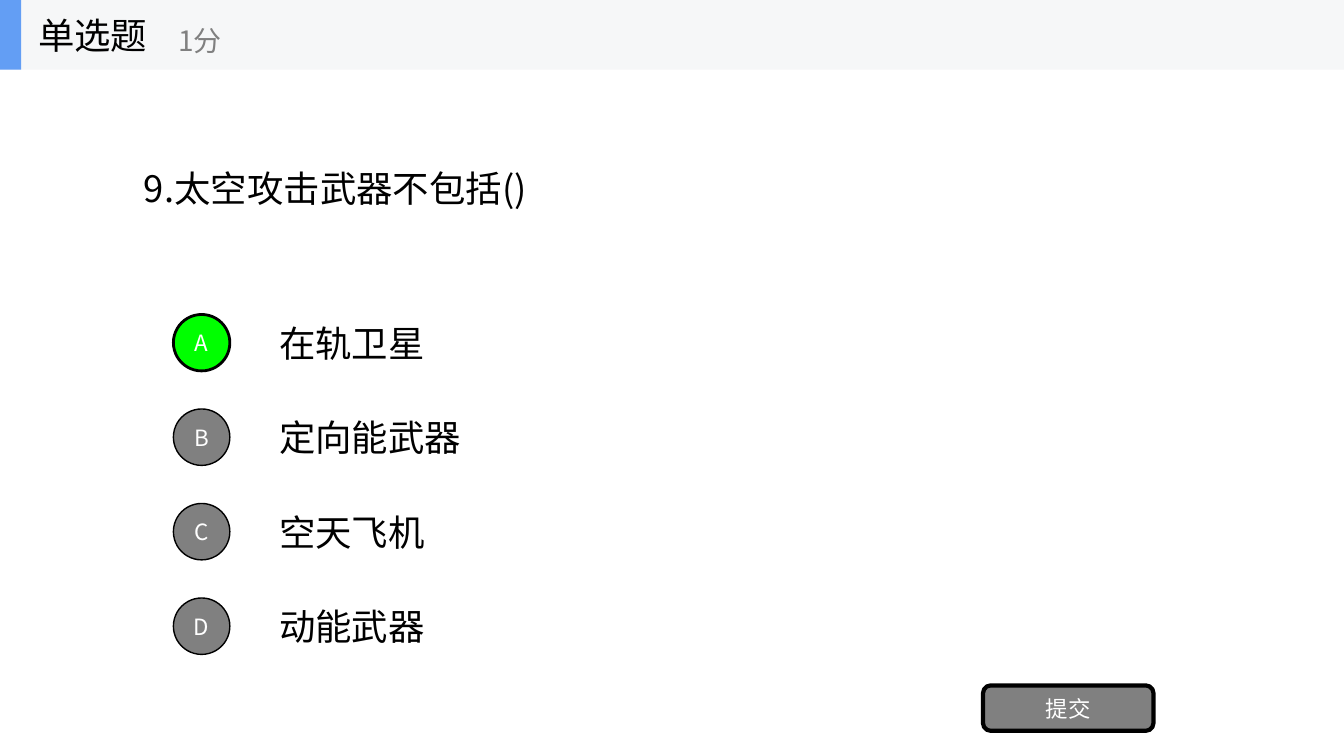
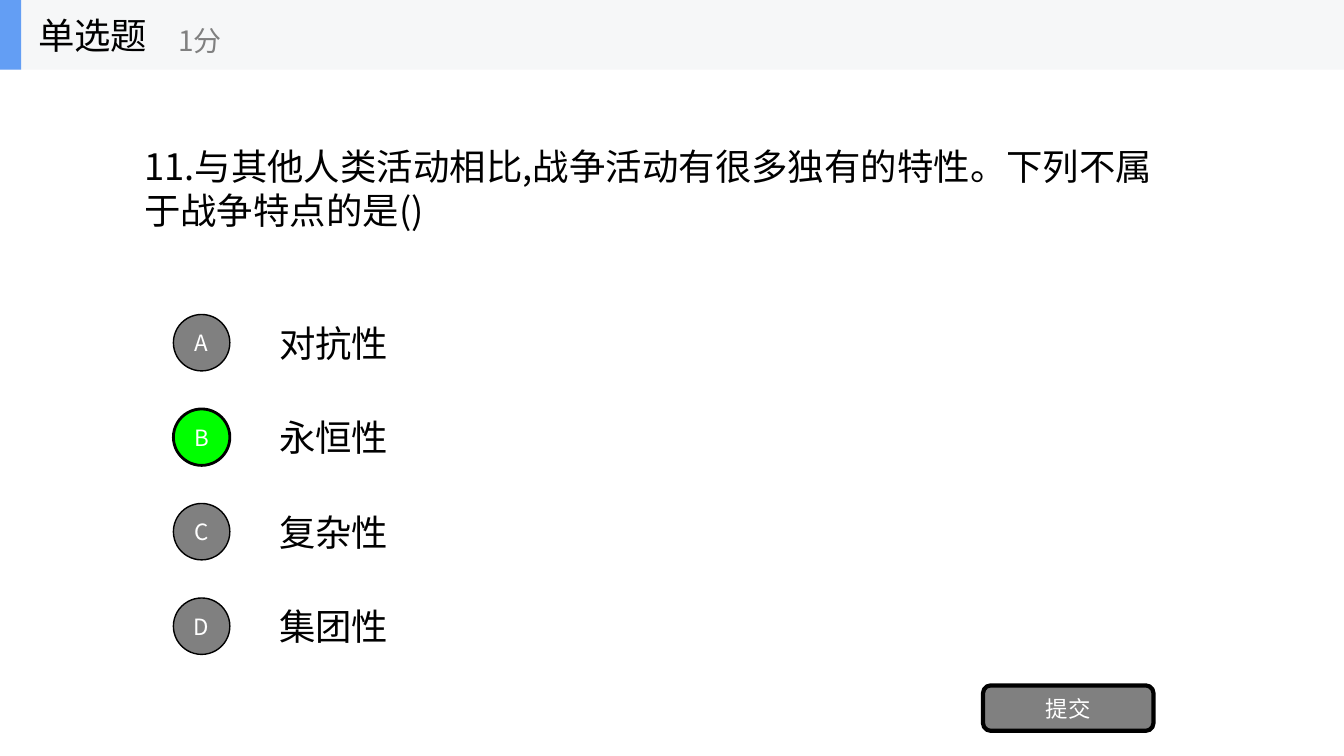
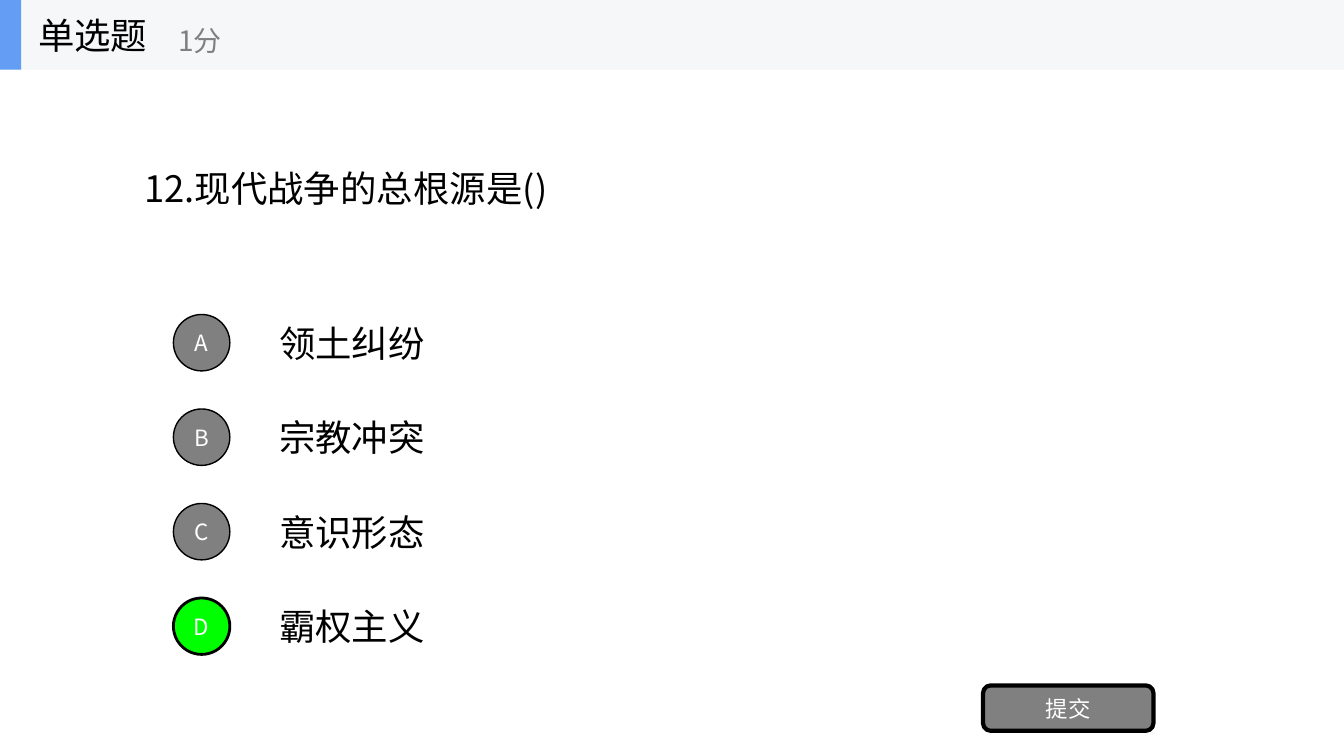
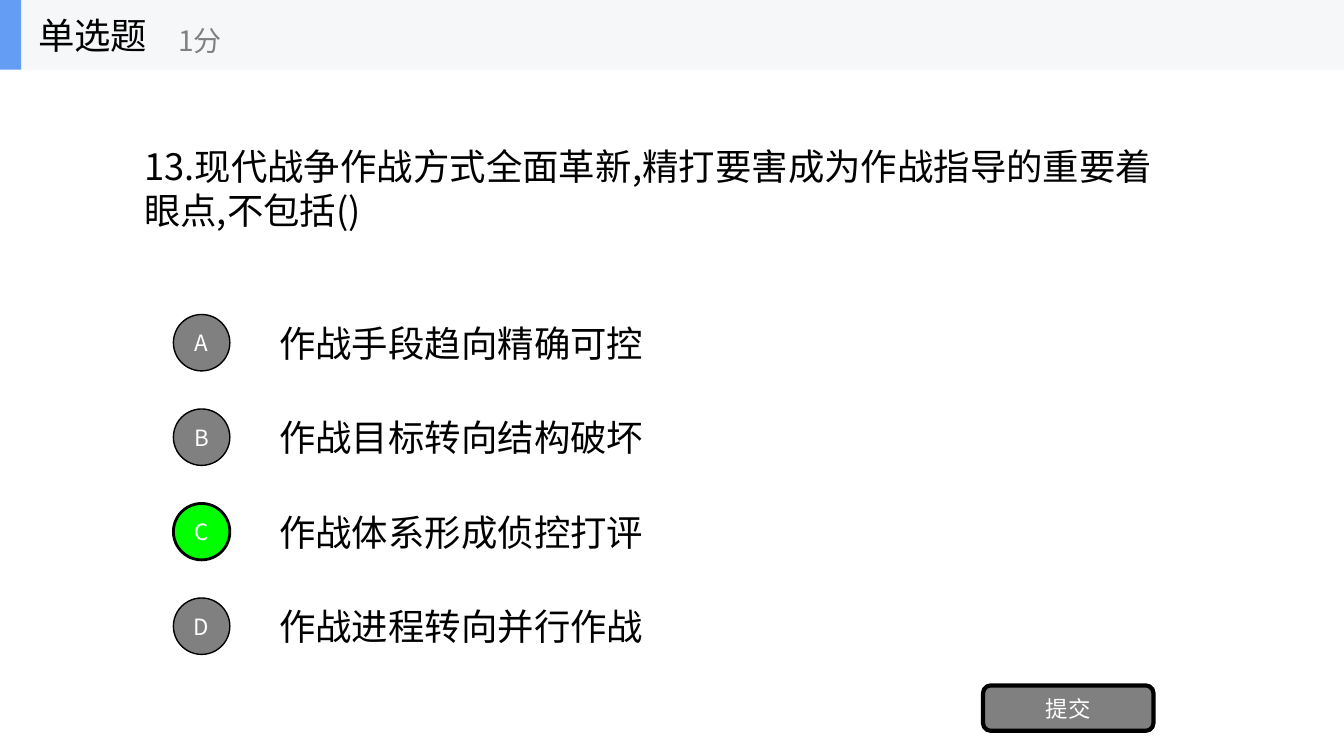
from lxml import etree
from pptx import Presentation, util as u
from pptx.dml import color as colors
from pptx.enum import shapes, text
from pptx.oxml import ns

WIDTH, HEIGHT = 13.33, 7.5
FONT = "Noto Sans CJK SC"
BLACK, WHITE, GRAY = "000000", "FFFFFF", "808080"
BAND, ACCENT, CORRECT = "F6F7F8", "639EF4", "00FF00"
BODY_SIZE, POINTS_SIZE, LABEL_SIZE = 26, 20, 16

BAND_HEIGHT = 0.69
QUESTION_LEFT, QUESTION_MIDDLE = 1.33, 1.865
LINE_HEIGHT, LINE_PADDING = 0.44, 0.09
OPTION_LEFT, FIRST_OPTION_MIDDLE = 2.67, 3.4
OPTION_PITCH = HEIGHT / 8
OPTION_PADDING = 0.31
BADGE_LEFT, BADGE_SIZE = 1.72, 0.56

QUESTIONS = [
    ("9.太空攻击武器不包括()", 4.1, 1, "A",
     ["在轨卫星", "定向能武器", "空天飞机", "动能武器"]),
    ("11.与其他人类活动相比,战争活动有很多独有的特性。下列不属于战争特点的是()", 10.55, 2, "B",
     ["对抗性", "永恒性", "复杂性", "集团性"]),
    ("12.现代战争的总根源是()", 4.31, 1, "D",
     ["领土纠纷", "宗教冲突", "意识形态", "霸权主义"]),
    ("13.现代战争作战方式全面革新,精打要害成为作战指导的重要着眼点,不包括()", 10.55, 2, "C",
     ["作战手段趋向精确可控", "作战目标转向结构破坏", "作战体系形成侦控打评", "作战进程转向并行作战"]),
]


def rgb(value):
    return colors.RGBColor.from_string(value)


def inches(*lengths):
    return [u.Inches(length) for length in lengths]


def write(shape, content, size, color, align=text.PP_ALIGN.LEFT):
    frame = shape.text_frame
    frame.word_wrap = True
    frame.vertical_anchor = text.MSO_ANCHOR.MIDDLE
    paragraph = frame.paragraphs[0]
    paragraph.alignment = align
    run = paragraph.add_run()
    run.text = content
    run.font.size = u.Pt(size)
    run.font.color.rgb = rgb(color)
    run.font.name = FONT
    east_asian = etree.SubElement(run.font._element, ns.qn("a:ea"))
    east_asian.set("typeface", FONT)


def add_text(container, box, content, size=BODY_SIZE, color=BLACK, grow=False):
    shape = container.add_textbox(*inches(*box))
    write(shape, content, size, color)
    if grow:
        shape.text_frame.auto_size = text.MSO_AUTO_SIZE.SHAPE_TO_FIT_TEXT


def add_block(container, kind, box, fill, line_width=0):
    shape = container.add_shape(kind, *inches(*box))
    shape.shadow.inherit = False
    shape.fill.solid()
    shape.fill.fore_color.rgb = rgb(fill)
    if line_width:
        shape.line.color.rgb = rgb(BLACK)
        shape.line.width = u.Pt(line_width)
    else:
        shape.line.fill.background()
    return shape


def add_button(container, kind, box, label, fill, line_width):
    shape = add_block(container, kind, box, fill, line_width)
    write(shape, label, LABEL_SIZE, WHITE, text.PP_ALIGN.CENTER)


def add_header(slide):
    header = slide.shapes.add_group_shape().shapes
    rectangle = shapes.MSO_SHAPE.RECTANGLE
    add_block(header, rectangle, (0, 0, WIDTH, BAND_HEIGHT), BAND)
    add_block(header, rectangle, (0, 0, 0.21, BAND_HEIGHT), ACCENT)
    add_text(header, (0.28, 0, 2.08, BAND_HEIGHT), "单选题")
    add_text(header, (1.67, 0.12, 2.5, 0.56), "1分", POINTS_SIZE, GRAY)


def add_question(slide, content, width, rows):
    height = LINE_PADDING + rows * LINE_HEIGHT
    box = (QUESTION_LEFT, QUESTION_MIDDLE - height / 2, width, height)
    add_text(slide.shapes, box, content, grow=True)


def add_option(slide, index, letter, content, is_correct):
    middle = FIRST_OPTION_MIDDLE + index * OPTION_PITCH
    height = LINE_PADDING + LINE_HEIGHT
    width = OPTION_PADDING + len(content) * BODY_SIZE / 72
    add_text(slide.shapes, (OPTION_LEFT, middle - height / 2, width, height), content, grow=True)
    badge = (BADGE_LEFT, middle - BADGE_SIZE / 2, BADGE_SIZE, BADGE_SIZE)
    fill, line_width = (CORRECT, 2) if is_correct else (GRAY, 1)
    add_button(slide.shapes, shapes.MSO_SHAPE.OVAL, badge, letter, fill, line_width)


def add_quiz_slide(presentation, question, width, rows, answer, options):
    slide = presentation.slides.add_slide(presentation.slide_layouts[6])
    add_question(slide, question, width, rows)
    for index, (letter, option) in enumerate(zip("ABCD", options)):
        add_option(slide, index, letter, option, letter == answer)
    add_button(slide.shapes, shapes.MSO_SHAPE.ROUNDED_RECTANGLE,
               (9.75, 6.8, 1.69, 0.45), "提交", GRAY, 3)
    add_header(slide)


def main():
    presentation = Presentation()
    presentation.slide_width, presentation.slide_height = inches(WIDTH, HEIGHT)
    for question in QUESTIONS:
        add_quiz_slide(presentation, *question)
    presentation.save("out.pptx")


main()
